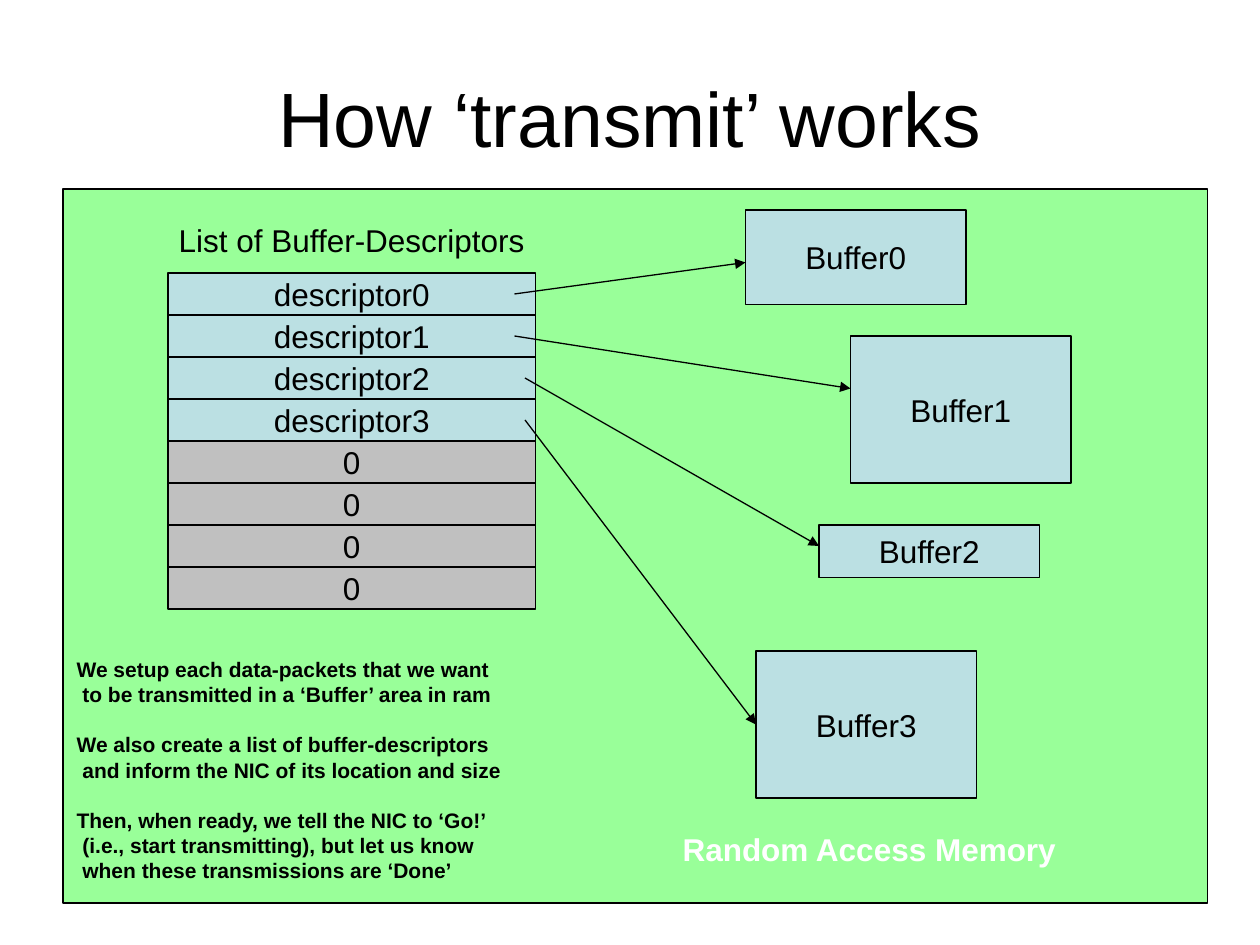
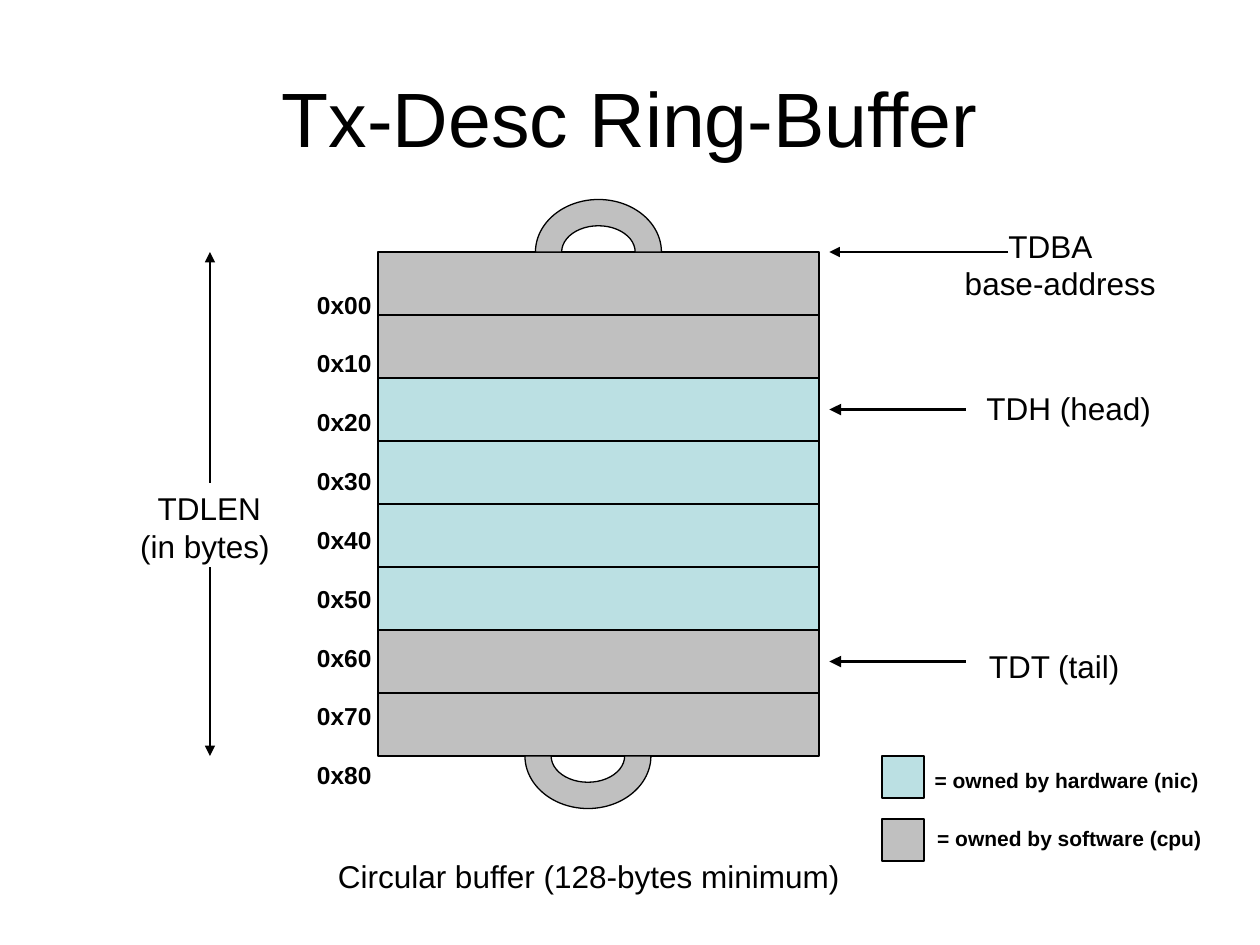
import pptx
import pptx.util
import pptx.dml.color
import pptx.enum.shapes
import pptx.enum.text
import pptx.oxml
import pptx.oxml.ns

Pt = pptx.util.Pt
SHAPE = pptx.enum.shapes.MSO_SHAPE
ALIGN = pptx.enum.text.PP_ALIGN
ANCHOR = pptx.enum.text.MSO_ANCHOR

BLACK, WHITE = "000000", "FFFFFF"
GREEN, BLUE, GRAY = "99FF99", "BBE0E3", "C0C0C0"
FONT = "Arial"
LEAD = 1.2


def color(code):
    return pptx.dml.color.RGBColor.from_string(code)


def place(box):
    return [Pt(round(n, 2)) for n in box]


def write(frame, lines, size=18, bold=False, tint=BLACK, align=ALIGN.LEFT,
          anchor=ANCHOR.TOP, gap=0):
    frame.word_wrap = True
    frame.vertical_anchor = anchor
    for i, line in enumerate(lines):
        words, indent, before = line if isinstance(line, tuple) else (line, 0, gap)
        para = frame.paragraphs[0] if i == 0 else frame.add_paragraph()
        para.alignment = align
        para.line_spacing = Pt(size * LEAD)
        if i and before:
            para.space_before = Pt(before)
        if indent:
            para._p.get_or_add_pPr().set("marL", str(Pt(indent)))
        run = para.add_run()
        run.text = words
        run.font.name = FONT
        run.font.size = Pt(size)
        run.font.bold = bold
        run.font.color.rgb = color(tint)


def label(slide, box, *lines, **style):
    write(slide.shapes.add_textbox(*place(box)).text_frame, lines, **style)


def block(slide, box, fill, words="", kind=SHAPE.RECTANGLE):
    shape = slide.shapes.add_shape(kind, *place(box))
    shape.shadow.inherit = False
    shape.fill.solid()
    shape.fill.fore_color.rgb = color(fill)
    shape.line.color.rgb = color(BLACK)
    shape.line.width = Pt(0.75)
    if words:
        write(shape.text_frame, [words], align=ALIGN.CENTER, anchor=ANCHOR.MIDDLE)
    return shape


def arrow(slide, start, end, width=0.75):
    line = slide.shapes.add_connector(
        pptx.enum.shapes.MSO_CONNECTOR.STRAIGHT, *place(start + end))
    line.line.color.rgb = color(BLACK)
    line.line.width = Pt(width)
    tip = pptx.oxml.parse_xml(
        '<a:tailEnd %s type="triangle"/>' % pptx.oxml.ns.nsdecls("a"))
    line.line._get_or_add_ln().append(tip)
    line._element.spPr.append(
        pptx.oxml.parse_xml("<a:effectLst %s/>" % pptx.oxml.ns.nsdecls("a")))
    return line


def stack(slide, box, fills, names):
    left, top, width, height = box
    step = height / len(fills)
    for i, (fill, name) in enumerate(zip(fills, names)):
        block(slide, (left, top + i * step, width, step), fill, name)


def start(deck, title):
    slide = deck.slides.add_slide(deck.slide_layouts[6])
    label(slide, (36, 21.6, 648, 90), title, size=44,
          align=ALIGN.CENTER, anchor=ANCHOR.MIDDLE)
    return slide


def table(slide, box):
    left, top, width, height = box
    names = [f"descriptor{i}" for i in range(4)] + ["0"] * 4
    stack(slide, box, [BLUE] * 4 + [GRAY] * 4, names)
    label(slide, (left - 1, top - 33, width + 8, 28.8), "List of Buffer-Descriptors")


def buffers(slide, box):
    left, top = box[:2]
    parts = [
        (390, 12, 54, (258, 60), 42),
        (450, 84, 84, (258, 84), 114),
        (432, 192, 30, (264, 108), 204),
        (396, 264, 84, (264, 132), 306),
    ]
    for i, (x, y, height, tail, tip) in enumerate(parts):
        shape = block(slide, (left + x, top + y, 126, height), BLUE, f"Buffer{i}")
        line = arrow(slide, (left + tail[0], top + tail[1]), (left + x, top + tip))
        if tip == y + height / 2:
            line.end_connect(shape, 1)


def notes(slide, box):
    groups = [
        ("We setup each data-packets that we want",
         "to be transmitted in a ‘Buffer’ area in ram"),
        ("We also create a list of buffer-descriptors",
         "and inform the NIC of its location and size"),
        ("Then, when ready, we tell the NIC to ‘Go!’",
         "(i.e., start transmitting), but let us know",
         "when these transmissions are ‘Done’"),
    ]
    lines = [(words, 3.3 if i else 0, 0 if i else 12 * LEAD)
             for group in groups for i, words in enumerate(group)]
    label(slide, box, *lines, size=12, bold=True)


def memory(slide, box):
    left, top = box[:2]
    block(slide, box, GREEN)
    table(slide, (left + 60, top + 48, 210, 192))
    buffers(slide, box)
    notes(slide, (left + 0.7, top + 263.5, 264, 137))
    label(slide, (left + 347, top + 363, 236, 28.8), "Random Access Memory",
          bold=True, tint=WHITE)


def ring(slide, box):
    left, top, width, height = box
    stack(slide, box, [GRAY] * 2 + [BLUE] * 4 + [GRAY] * 2, [""] * 8)
    for x, y, flip in [(90, -30, False), (84, height - 30, True)]:
        arc = block(slide, (left + x, top + y, 72, 60), GRAY, kind=SHAPE.BLOCK_ARC)
        for i, value in enumerate((108, 0, 0.25)):
            arc.adjustments[i] = value
        if flip:
            arc._element.spPr.xfrm.set("flipV", "1")
    label(slide, (left - 42, top + 18, 54, 293),
          *[f"0x{i}0" for i in range(9)], size=14, bold=True, gap=14 * LEAD)
    label(slide, (left - 30, top + 342, 310, 28.8),
          "Circular buffer (128-bytes minimum)")


def length(slide, box):
    left, top, width, height = box
    mid = left + 72
    label(slide, (left, top + 132, width, 50.4),
          ("TDLEN", 35, 0), ("(in bytes)", 25, 0))
    arrow(slide, (mid, top + 132), (mid, top))
    arrow(slide, (mid, top + 180), (mid, top + height))


def pointers(slide, box):
    left, top = box[:2]
    for y, size, width in [(0, 102, 1.5), (90, 78, 2.25), (234, 78, 2.25)]:
        arrow(slide, (left + size, top + y), (left, top + y), width)
    label(slide, (left + 60.2, top - 18, 140, 50.4),
          ("TDBA", 35, 0), ("base-address", 10, 0))
    label(slide, (left + 82.6, top + 75, 114, 28.8), "TDH (head)")
    label(slide, (left + 84, top + 222, 100, 28.8), "TDT (tail)")


def legend(slide, box):
    left, top = box[:2]
    items = [(BLUE, "= owned by hardware (nic)", 23, 3),
             (GRAY, "= owned by software (cpu)", 24.5, 0.3)]
    for i, (fill, words, x, y) in enumerate(items):
        row = top + 36 * i
        block(slide, (left, row, 24, 24), fill)
        label(slide, (left + x, row + y, 172, 21.6), words, size=12, bold=True)


def main():
    deck = pptx.Presentation()
    deck.slide_width, deck.slide_height = Pt(720), Pt(540)
    memory(start(deck, "How ‘transmit’ works"), (36, 108, 654, 408))
    slide = start(deck, "Tx-Desc Ring-Buffer")
    ring(slide, (216, 144, 252, 288))
    length(slide, (48, 144, 118, 288))
    pointers(slide, (474, 144, 200, 288))
    legend(slide, (504, 432, 190, 60))
    deck.save("out.pptx")


if __name__ == "__main__":
    main()
